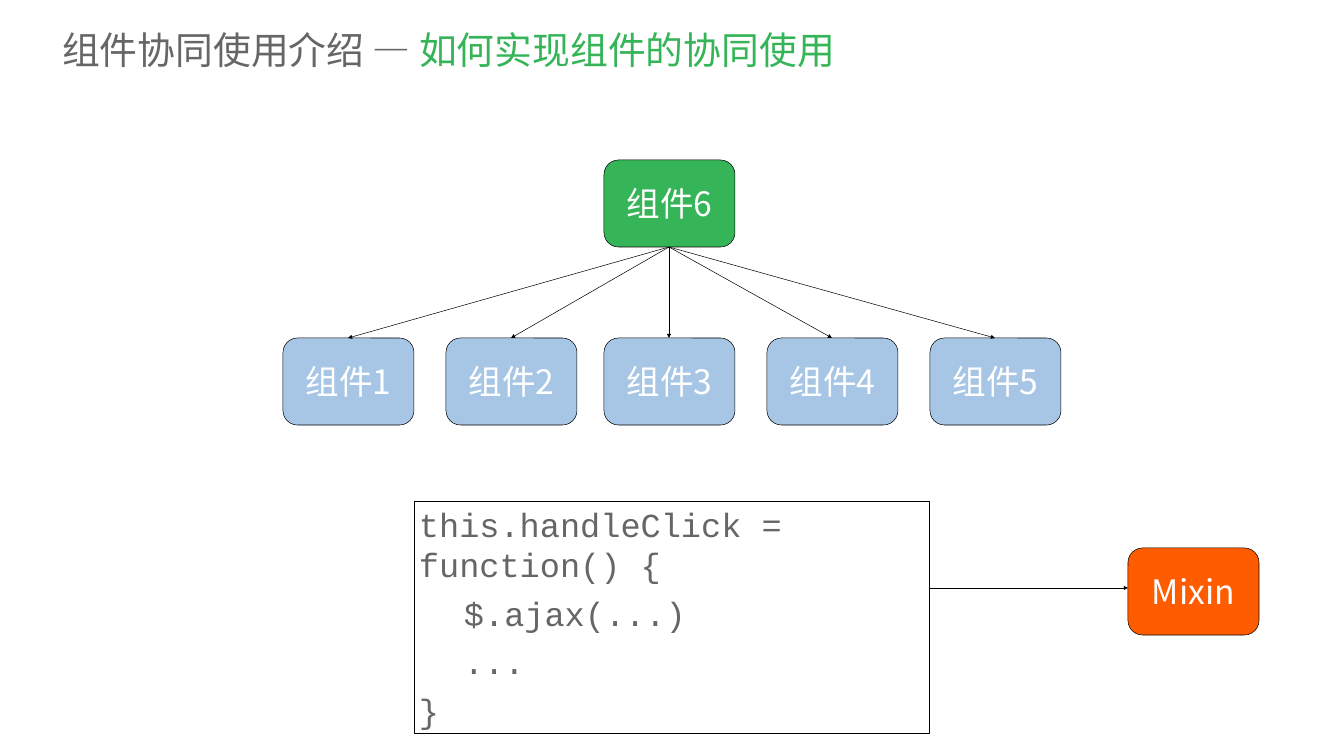
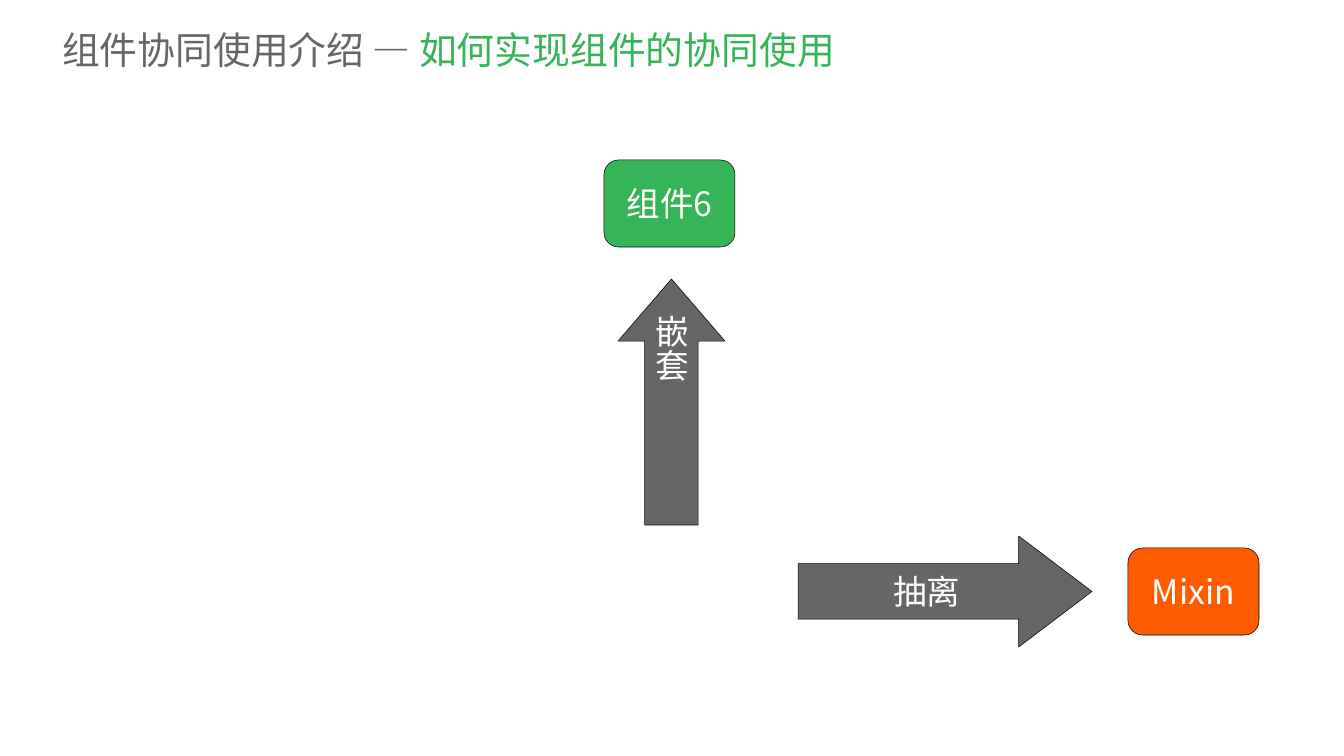
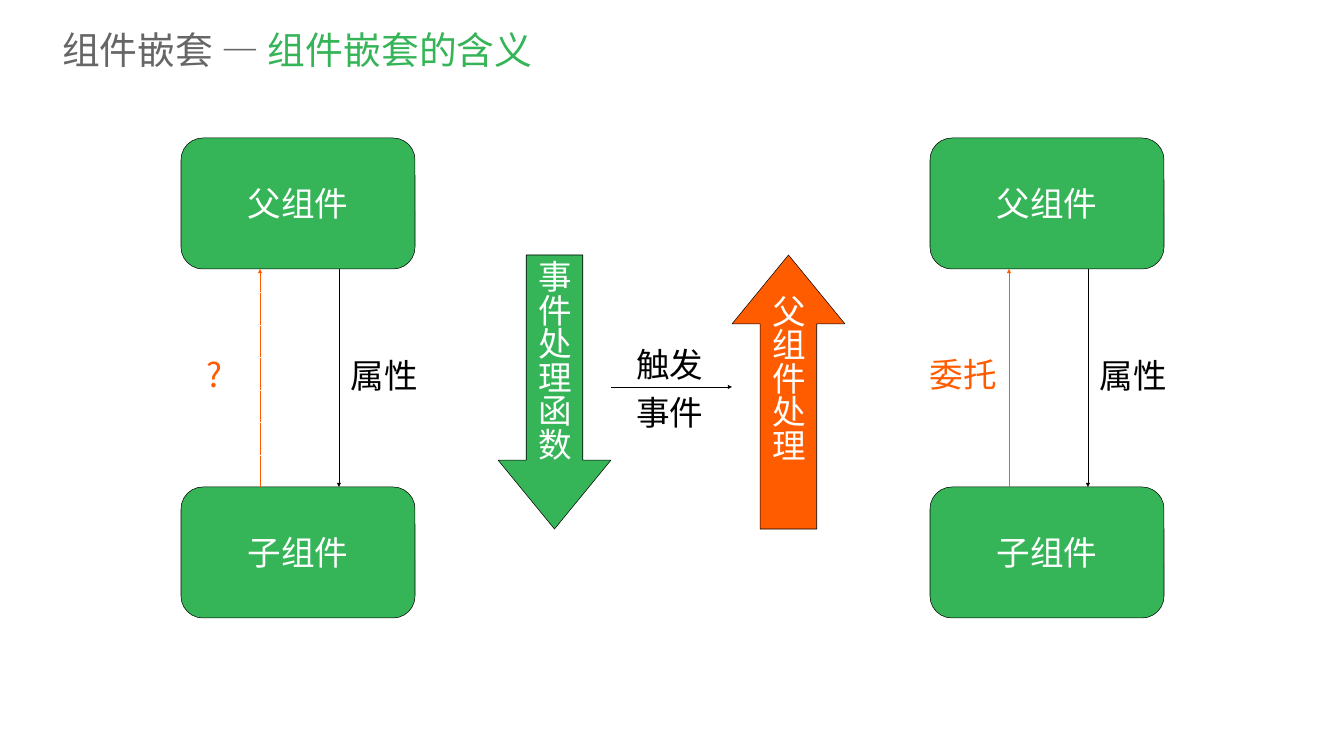
"""Three slides on how components work together, nest and delegate."""
from dataclasses import dataclass

from pptx import Presentation
from pptx import util as u
from pptx.dml.color import RGBColor
from pptx.enum import dml, shapes, text
from pptx.oxml.ns import qn
from lxml import etree

PX = 914400 / 50.4  # EMU in one pixel
SLIDE_SIZE = (1344, 756)
TITLE_ONLY = 5

KIND = shapes.MSO_SHAPE
ALIGN = text.PP_ALIGN
ANCHOR = text.MSO_ANCHOR
FIT = text.MSO_AUTO_SIZE


@dataclass(frozen=True)
class Theme:
    """Colours, fonts and sizes shared by all slides."""
    green: str = "35B558"
    blue: str = "A7C6E5"
    orange: str = "FF5C00"
    grey: str = "666666"
    black: str = "000000"
    white: str = "FFFFFF"
    sans: str = "Noto Sans CJK SC"
    plain: str = "Arial"
    mono: str = "Courier New"
    title_size: int = 54
    body_size: int = 48
    line_width: float = 0.74


def emu(*pixels):
    """Turn pixel lengths into EMU."""
    return [u.Emu(round(p * PX)) for p in pixels]


def assign(target, values):
    """Set attributes of target from a dict."""
    for name, value in values.items():
        setattr(target, name, value)


class Deck:
    """Holds the theme, the presentation and the current slide."""

    def __init__(self, theme):
        """Start an empty presentation."""
        self.theme = theme
        self.prs = Presentation()
        self.prs.slide_width, self.prs.slide_height = emu(*SLIDE_SIZE)

    def add_slide(self, topic, subject):
        """Add a slide with a two-colour title."""
        t = self.theme
        self.slide = self.prs.slides.add_slide(
            self.prs.slide_layouts[TITLE_ONLY])
        title = self.slide.shapes.title
        self.place(title, 57, 22, 1268, 55)
        assign(title.text_frame, dict(
            vertical_anchor=ANCHOR.MIDDLE, word_wrap=True,
            auto_size=FIT.NONE))
        heading = title.text_frame.paragraphs[0]
        heading.alignment = ALIGN.LEFT
        self.run(heading, f"{topic} — ", t.grey, t.sans, t.title_size)
        self.run(heading, subject, t.green, t.sans, t.title_size)

    def place(self, item, *box):
        """Move and size an element to a pixel box."""
        assign(item, dict(zip(("left", "top", "width", "height"), emu(*box))))

    def run(self, paragraph, words, colour, font, size=None):
        """Add a formatted run to a paragraph."""
        run = paragraph.add_run()
        run.text = words
        assign(run.font, dict(name=font,
                              size=u.Pt(size or self.theme.body_size)))
        run.font.color.rgb = RGBColor.from_string(colour)
        east_asian = etree.Element(qn("a:ea"), typeface=self.theme.sans)
        run.font._element.find(qn("a:latin")).addnext(east_asian)

    def outline(self, line, colour):
        """Give a line the shared width and a colour."""
        line.color.rgb = RGBColor.from_string(colour)
        line.width = u.Pt(self.theme.line_width)

    def block(self, kind, box, fill=None):
        """Draw an outlined preset shape, filled or empty."""
        shape = self.slide.shapes.add_shape(kind, *emu(*box))
        shape.shadow.inherit = False
        if fill:
            shape.fill.solid()
            shape.fill.fore_color.rgb = RGBColor.from_string(fill)
        else:
            shape.fill.background()
        self.outline(shape.line, self.theme.black)
        return shape

    def node(self, words, box, fill, font=None, kind=KIND.ROUNDED_RECTANGLE):
        """Draw a filled shape with a centred white caption."""
        shape = self.block(kind, box, fill)
        assign(shape.text_frame, dict(
            word_wrap=False, vertical_anchor=ANCHOR.MIDDLE))
        caption = shape.text_frame.paragraphs[0]
        caption.alignment = ALIGN.CENTER
        self.run(caption, words, self.theme.white, font or self.theme.sans)
        return shape

    def block_arrow(self, words, box, fill, kind, head):
        """Draw a thick arrow; up and down arrows have vertical text."""
        arrow = self.node(words, box, fill, self.theme.plain, kind)
        arrow.adjustments[1] = head
        if kind != KIND.RIGHT_ARROW:
            frame = arrow.text_frame
            frame._txBody.bodyPr.set("vert", "eaVert")
            narrow, wide = u.Inches(0.05), u.Inches(0.1)
            assign(frame, dict(margin_left=narrow, margin_right=narrow,
                               margin_top=wide, margin_bottom=wide))

    def link(self, start, end, colour=None, dash=None):
        """Draw a thin line with an arrowhead at its end."""
        line = self.slide.shapes.add_connector(
            shapes.MSO_CONNECTOR.STRAIGHT, *emu(*start, *end))
        self.outline(line.line, colour or self.theme.black)
        if dash:
            line.line.dash_style = dash
        properties = line._element.spPr
        etree.SubElement(properties.find(qn("a:ln")), qn("a:tailEnd"),
                         type="triangle")
        etree.SubElement(properties, qn("a:effectLst"))

    def label(self, words, box, colour, font=None, spacing=None):
        """Add a centred text box."""
        frame = self.slide.shapes.add_textbox(*emu(*box)).text_frame
        assign(frame, dict(word_wrap=True, auto_size=FIT.SHAPE_TO_FIT_TEXT))
        line = frame.paragraphs[0]
        assign(line, dict(alignment=ALIGN.CENTER, line_spacing=spacing))
        self.run(line, words, colour, font or self.theme.plain)

    def code(self, lines, box, tab):
        """Draw an outlined box of code with one tab stop."""
        frame = self.block(KIND.RECTANGLE, box).text_frame
        assign(frame, dict(word_wrap=True, vertical_anchor=ANCHOR.TOP,
                           auto_size=FIT.SHAPE_TO_FIT_TEXT))
        for number, words in enumerate(lines):
            line = frame.add_paragraph() if number else frame.paragraphs[0]
            assign(line, dict(alignment=ALIGN.LEFT, space_before=u.Pt(6),
                              space_after=u.Pt(6)))
            stops = etree.SubElement(line._p.get_or_add_pPr(), qn("a:tabLst"))
            etree.SubElement(stops, qn("a:tab"), pos=str(emu(tab)[0]),
                             algn="l")
            self.run(line, words, self.theme.grey, self.theme.mono)

    def small_node(self, words, left, top, fill):
        """Draw a component box of the standard size."""
        self.node(words, (left, top, *NODE), fill)

    def family(self, left, question, font=None, dash=None):
        """Draw a parent and a child with links down and up."""
        t = self.theme
        parent, child, height = 138, 487, 131
        for words, top in (("父组件", parent), ("子组件", child)):
            self.node(words, (left, top, 234, height), t.green, t.plain)
        down, up, bottom = left + 158, left + 79, parent + height
        self.link((down, bottom), (down, child))
        self.label("属性", (down, 352, 91, 45), t.black)
        self.link((up, child), (up, bottom), t.orange, dash)
        self.label(question, (up - 91, 351, 91, 45), t.orange, font)


NODE = (131, 87)
ROOT = (604, 160)
CHILD_LEFTS = (283, 446, 604, 767, 930)
CHILD_TOP = 338
MIXIN = (1128, 548)
COOPERATION = ("组件协同使用介绍", "如何实现组件的协同使用")


def cooperation_tree(deck):
    """Slide 1: a root component, its children and a mixin."""
    t = deck.theme
    deck.add_slide(*COOPERATION)
    middle = NODE[0] // 2
    for number, left in enumerate(CHILD_LEFTS, 1):
        deck.small_node(f"组件{number}", left, CHILD_TOP, t.blue)
    deck.code(("this.handleClick = function() {", "\t$.ajax(...)", "\t...",
               "}"), (414, 501, 515, 232), 45)
    deck.small_node("组件6", *ROOT, t.green)
    for left in CHILD_LEFTS:
        deck.link((ROOT[0] + middle, ROOT[1] + NODE[1]),
                  (left + middle, CHILD_TOP))
    deck.small_node("Mixin", *MIXIN, t.orange)
    deck.link((930, 588), (MIXIN[0], 588))


def cooperation_ways(deck):
    """Slide 2: nesting upwards, extraction sideways."""
    t = deck.theme
    deck.add_slide(*COOPERATION)
    deck.block_arrow("嵌套", (618, 279, 107, 246), t.grey, KIND.UP_ARROW, 0.58)
    deck.small_node("Mixin", *MIXIN, t.orange)
    deck.block_arrow("抽离", (798, 536, 294, 111), t.grey,
                     KIND.RIGHT_ARROW, 0.66)
    deck.small_node("组件6", *ROOT, t.green)


def nesting_meaning(deck):
    """Slide 3: from an open question to delegation."""
    t = deck.theme
    deck.add_slide("组件嵌套", "组件嵌套的含义")
    deck.family(181, "?", t.sans, dml.MSO_LINE.ROUND_DOT)
    for words, left, fill, kind in (
            ("事件处理函数", 498, t.green, KIND.DOWN_ARROW),
            ("父组件处理", 732, t.orange, KIND.UP_ARROW)):
        deck.block_arrow(words, (left, 255, 113, 274), fill, kind, 0.61)
    deck.link((611, 387), (732, 387))
    deck.label("触发事件", (619, 333, 102, 102), t.black, spacing=1.2)
    deck.family(930, "委托")


def main():
    """Build all slides and save them."""
    deck = Deck(Theme())
    for build in (cooperation_tree, cooperation_ways, nesting_meaning):
        build(deck)
    deck.prs.save("out.pptx")


main()
